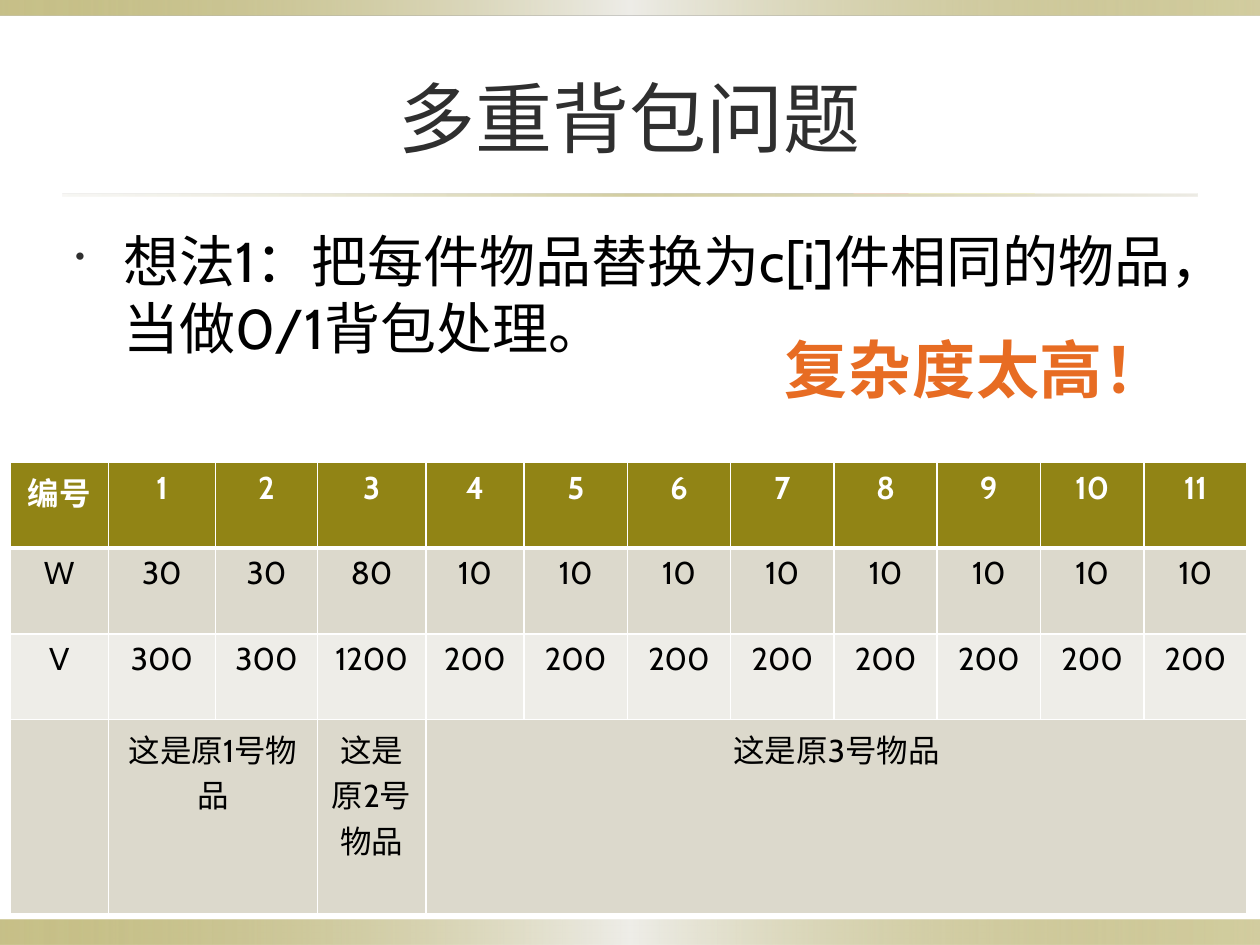
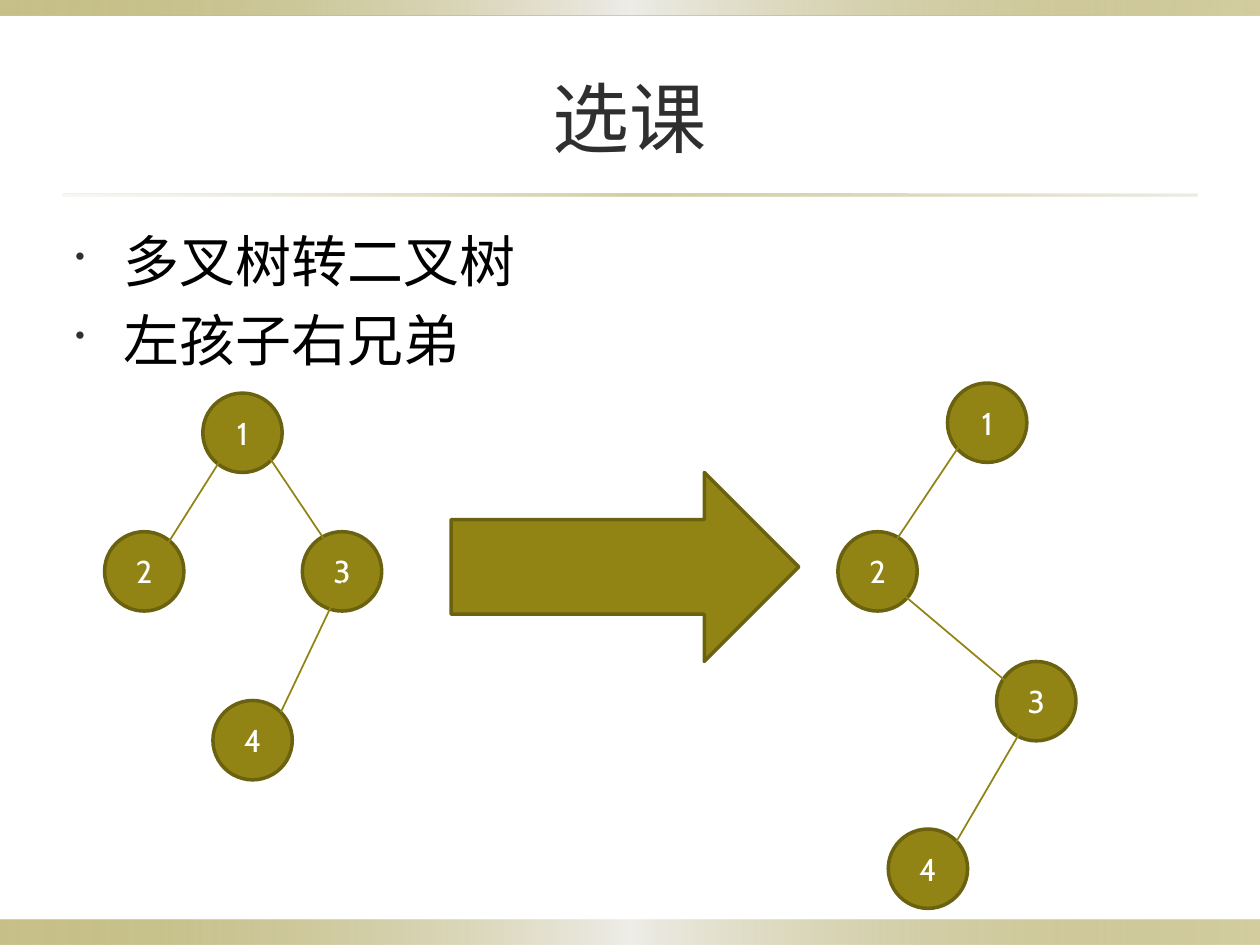
from lxml import etree
from pptx import Presentation
from pptx.dml.color import RGBColor
from pptx.enum.shapes import MSO_CONNECTOR, MSO_SHAPE
from pptx.enum.text import MSO_ANCHOR, PP_ALIGN
from pptx.oxml import parse_xml
from pptx.oxml.ns import nsdecls, qn
from pptx.util import Inches, Pt

RECTANGLE, OVAL, RIGHT_ARROW = MSO_SHAPE.RECTANGLE, MSO_SHAPE.OVAL, MSO_SHAPE.RIGHT_ARROW
STRAIGHT = MSO_CONNECTOR.STRAIGHT
TOP, MIDDLE = MSO_ANCHOR.TOP, MSO_ANCHOR.MIDDLE
LEFT, CENTER = PP_ALIGN.LEFT, PP_ALIGN.CENTER

OLIVE = RGBColor(0x91, 0x84, 0x15)
DARK_OLIVE = RGBColor(0x6B, 0x62, 0x10)
SAND = RGBColor(0xDC, 0xD9, 0xCC)
PALE_SAND = RGBColor(0xEE, 0xED, 0xE8)
CHARCOAL = RGBColor(0x2F, 0x2F, 0x2F)
ORANGE = RGBColor(0xE7, 0x6C, 0x23)
BLACK = RGBColor(0, 0, 0)
WHITE = RGBColor(0xFF, 0xFF, 0xFF)

FONT = "Cabin"
TITLE_FONT = {"name": FONT, "size": Pt(44), "color": CHARCOAL}
BODY_FONT = {"name": FONT, "size": Pt(32), "color": BLACK}
CALLOUT_FONT = {"name": FONT, "size": Pt(36), "color": ORANGE, "bold": True}
NODE_FONT = {"name": FONT, "size": Pt(18), "color": WHITE}
HEADER_FONT = {**NODE_FONT, "bold": True}
CELL_FONT = {**NODE_FONT, "color": BLACK}

# Shared decoration: box, then gradient stops as (position, colour, opacity) in percent
BAND_STOPS = [(0, OLIVE, 50), (50, PALE_SAND, 100), (100, OLIVE, 40)]
RULE_STOPS = [(0, SAND, 20), (50, OLIVE, 40), (100, SAND, 50)]
DECORATION = [
    ((0, 7.3, 10, 0.2), BAND_STOPS),
    ((0, 0, 10, 0.12), BAND_STOPS),
    ((0.5, 1.54, 9, 0.02), RULE_STOPS),
]


def write_text(holder, lines, font, alignment=CENTER, anchor=MIDDLE):
    """Fill a shape, text box or cell with formatted paragraphs."""
    frame = holder.text_frame
    frame.word_wrap = True
    frame.vertical_anchor = anchor
    frame.text = "\n".join(lines)
    for paragraph in frame.paragraphs:
        paragraph.alignment = alignment
        for run in paragraph.runs:
            for name, value in font.items():
                if name == "color":
                    run.font.color.rgb = value
                else:
                    setattr(run.font, name, value)
    return frame.paragraphs


def add_text(slide, box, lines, font, alignment=CENTER, anchor=MIDDLE):
    text_box = slide.shapes.add_textbox(*map(Inches, box))
    return write_text(text_box, lines, font, alignment, anchor)


presentation = Presentation()
presentation.slide_width = Inches(10)
presentation.slide_height = Inches(7.5)

# Bands, title and bullets of both slides
CONTENT = [
    ("多重背包问题", ["想法1：把每件物品替换为c[i]件相同的物品，当做0/1背包处理。"]),
    ("选课", ["多叉树转二叉树", "左孩子右兄弟"]),
]
for title, bullets in CONTENT:
    slide = presentation.slides.add_slide(presentation.slide_layouts[6])
    for box, stops in DECORATION:
        shape = slide.shapes.add_shape(RECTANGLE, *map(Inches, box))
        shape.shadow.inherit = False
        shape.line.fill.background()
        shape.fill.gradient()
        shape.fill.gradient_angle = 0
        stop_list = shape._element.spPr.find(qn("a:gradFill")).find(qn("a:gsLst"))
        for old_stop in list(stop_list):
            stop_list.remove(old_stop)
        for position, color, opacity in stops:
            stop_list.append(parse_xml(
                f'<a:gs {nsdecls("a")} pos="{position * 1000}"><a:srgbClr val="{color}">'
                f'<a:alpha val="{opacity * 1000}"/></a:srgbClr></a:gs>'))

    add_text(slide, (0.5, 0.3, 9, 1.25), [title], TITLE_FONT)
    for paragraph in add_text(slide, (0.5, 1.75, 9, 5.13), bullets, BODY_FONT, LEFT, TOP):
        paragraph.space_before = Pt(6.4)
        properties = paragraph._p.get_or_add_pPr()
        properties.set("marL", str(Inches(0.38)))
        properties.set("indent", str(-Inches(0.38)))
        bullet_color = etree.SubElement(properties, qn("a:buClr"))
        etree.SubElement(bullet_color, qn("a:srgbClr"), val=str(CHARCOAL))
        etree.SubElement(properties, qn("a:buSzPct"), val="50000")
        etree.SubElement(properties, qn("a:buChar"), char="•")
        for run in paragraph.runs:
            etree.SubElement(run._r.get_or_add_rPr(), qn("a:ea"), typeface=FONT)

knapsack_slide, tree_slide = presentation.slides

# Knapsack table: items 1 to 11, with the merged last row naming their source
ROWS = [
    ["编号", *map(str, range(1, 12))],
    ["W", "30", "30", "80"] + ["10"] * 8,
    ["V", "300", "300", "1200"] + ["200"] * 8,
    ["", "这是原1号物品", "", "这是原2号物品", "这是原3号物品"] + [""] * 7,
]
COLUMN_WIDTHS = [0.78, 0.85, 0.81, 0.86, 0.78] + [0.82] * 7
# The last row holds four lines of text
ROW_HEIGHTS = [0.68] * 3 + [1.54]
ROW_FILLS = [OLIVE, SAND, PALE_SAND, SAND]

table = knapsack_slide.shapes.add_table(
    len(ROWS), len(COLUMN_WIDTHS), Inches(0.08), Inches(3.67),
    Inches(sum(COLUMN_WIDTHS)), Inches(sum(ROW_HEIGHTS))).table
table.first_row = table.horz_banding = False
for column, width in zip(table.columns, COLUMN_WIDTHS):
    column.width = Inches(width)
for row, height in zip(table.rows, ROW_HEIGHTS):
    row.height = Inches(height)
for first, last in [(1, 2), (4, 11)]:
    table.cell(3, first).merge(table.cell(3, last))

for row_index, values in enumerate(ROWS):
    font = HEADER_FONT if row_index == 0 else CELL_FONT
    # The line under the header is thicker
    borders = {"lnL": 1, "lnR": 1,
               "lnT": 3 if row_index == 1 else 1,
               "lnB": 3 if row_index == 0 else 1}
    for column_index, value in enumerate(values):
        cell = table.cell(row_index, column_index)
        cell.fill.solid()
        cell.fill.fore_color.rgb = ROW_FILLS[row_index]
        write_text(cell, [value], font, CENTER, TOP)
        cell_properties = cell._tc.get_or_add_tcPr()
        for index, (side, width) in enumerate(borders.items()):
            cell_properties.insert(index, parse_xml(
                f'<a:{side} {nsdecls("a")} w="{Pt(width)}"><a:solidFill>'
                f'<a:srgbClr val="{WHITE}"/></a:solidFill></a:{side}>'))

# Verdict on the first idea
verdict = add_text(knapsack_slide, (5.77, 2.57, 3.95, 0.71), ["复杂度太高！"],
                   CALLOUT_FONT, CENTER, TOP)
verdict_properties = verdict[0].runs[0]._r.get_or_add_rPr()
verdict_properties.set("spc", "50")
etree.SubElement(verdict_properties, qn("a:ea"), typeface=FONT)

# General tree, arrow, binary tree
NODE_SIZE = 0.63
TREES = [
    ([(1.61, 3.12), (0.83, 4.22), (2.4, 4.22), (1.69, 5.56)],
     [(1.77, 3.62, 1.29, 4.38), (2.64, 4.38, 2.01, 3.44), (2.23, 5.65, 2.72, 4.62)]),
    ([(7.52, 3.04), (6.65, 4.22), (7.91, 5.25), (7.05, 6.58)],
     [(7.68, 3.44, 7.05, 4.38), (7.05, 4.62, 8.07, 5.48), (8.15, 5.72, 7.59, 6.68)]),
]
solid_shapes = [tree_slide.shapes.add_shape(
    RIGHT_ARROW, Inches(3.58), Inches(3.75), Inches(2.76), Inches(1.5))]
for nodes, edges in TREES:
    for number, (left, top) in enumerate(nodes, start=1):
        node = tree_slide.shapes.add_shape(
            OVAL, Inches(left), Inches(top), Inches(NODE_SIZE), Inches(NODE_SIZE))
        write_text(node, [str(number)], NODE_FONT)
        solid_shapes.append(node)
    for edge in edges:
        connector = tree_slide.shapes.add_connector(STRAIGHT, *map(Inches, edge))
        connector.line.color.rgb = OLIVE
        connector.line.width = Pt(1)
        etree.SubElement(connector._element.spPr, qn("a:effectLst"))

for shape in solid_shapes:
    shape.shadow.inherit = False
    shape.fill.solid()
    shape.fill.fore_color.rgb = OLIVE
    shape.line.color.rgb = DARK_OLIVE
    shape.line.width = Pt(2)

presentation.save("out.pptx")
